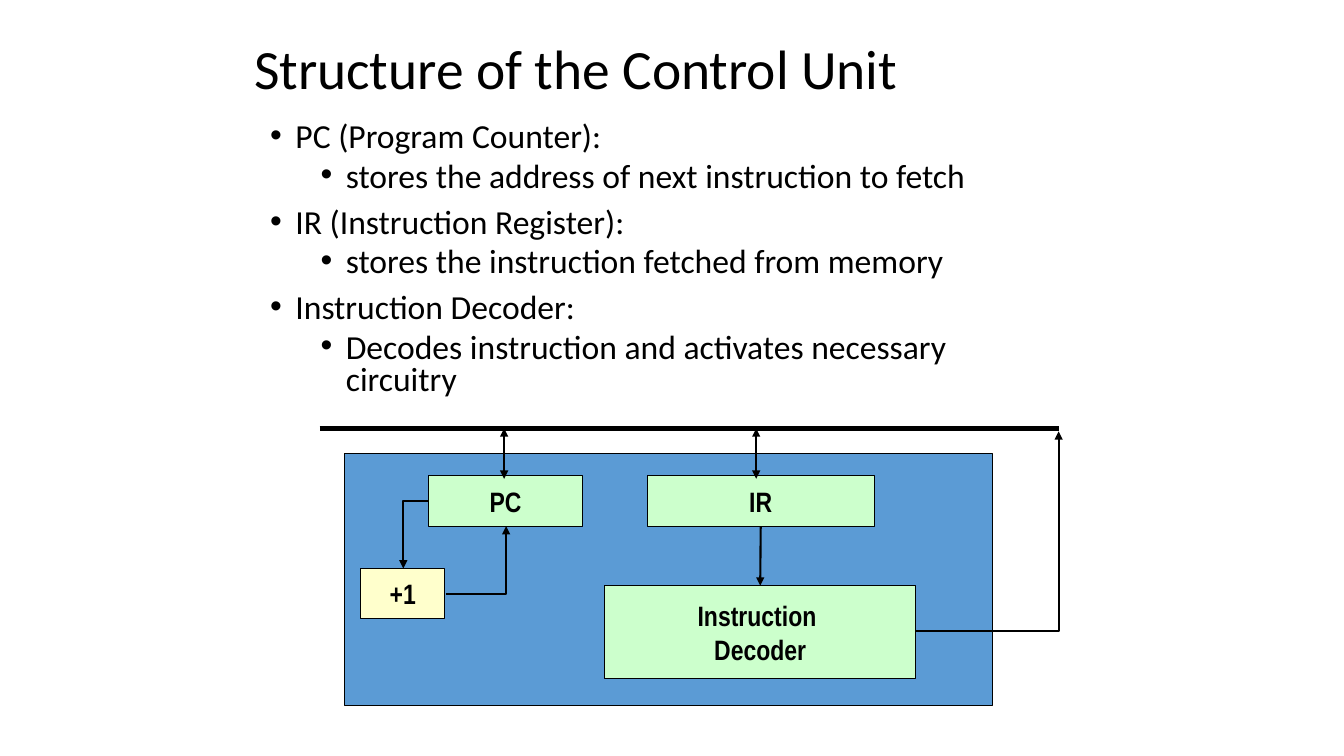
import pptx
import pptx.dml.color
import pptx.enum.shapes
import pptx.enum.text
import pptx.oxml
import pptx.oxml.ns
import pptx.util

Inches = pptx.util.Inches
Pt = pptx.util.Pt
RGBColor = pptx.dml.color.RGBColor
Align = pptx.enum.text.PP_ALIGN
Anchor = pptx.enum.text.MSO_ANCHOR
Link = pptx.enum.shapes.MSO_CONNECTOR

BLACK = RGBColor(0x00, 0x00, 0x00)
BLUE = RGBColor(0x5B, 0x9B, 0xD5)
GREEN = RGBColor(0xCC, 0xFF, 0xCC)
YELLOW = RGBColor(0xFF, 0xFF, 0xCC)

TOPICS = [
    ("PC (Program Counter):", "stores the address of next instruction to fetch"),
    ("IR (Instruction Register):", "stores the instruction fetched from memory"),
    ("Instruction Decoder:", "Decodes instruction and activates necessary circuitry"),
]


def add(parent, tag, **attrs):
    node = pptx.oxml.ns.qn(tag)
    child = parent.makeelement(node, attrs)
    parent.append(child)
    return child


def write(par, text, font="Calibri", size=24, bold=False, align=Align.LEFT,
          space=None, before=0):
    par.alignment = align
    par.space_before = Pt(before)
    if space:
        par.line_spacing = space
    run = par.add_run()
    run.text = text
    run.font.name = font
    run.font.size = Pt(size)
    run.font.bold = bold
    run.font.color.rgb = BLACK


class Page:
    def __init__(self, deck):
        self.slide = deck.slides.add_slide(deck.slide_layouts[1])
        self.shapes = self.slide.shapes
        self.label = dict(font="Arial Narrow", size=20, bold=True, align=Align.CENTER)

    def place(self, holder, left, top, width, height, anchor):
        holder.left, holder.top = Inches(left), Inches(top)
        holder.width, holder.height = Inches(width), Inches(height)
        frame = holder.text_frame
        frame.auto_size = pptx.enum.text.MSO_AUTO_SIZE.NONE
        frame.word_wrap = True
        frame.vertical_anchor = anchor
        return frame

    def title(self, text):
        frame = self.place(self.shapes.title, 2.42, 0.42, 8.5, 0.58, Anchor.MIDDLE)
        write(frame.paragraphs[0], text, size=39.6, space=0.9)

    def body(self, topics):
        frame = self.place(self.slide.placeholders[1], 2.58, 1.17, 7.92, 3, Anchor.TOP)
        par = frame.paragraphs[0]
        for topic in topics:
            for level, text in enumerate(topic):
                if par.runs:
                    par = frame.add_paragraph()
                par.level = level
                write(par, text, space=0.8, before=(10, 5)[level])
                props = par._p.get_or_add_pPr()
                props.set("marL", str(Inches(0.25 + 0.5 * level)))
                props.set("indent", str(Inches(-0.25)))
                add(props, "a:buFont", typeface="Arial")
                add(props, "a:buChar", char="•")

    def box(self, left, top, width, height, fill, *lines):
        shape = self.shapes.add_shape(
            pptx.enum.shapes.MSO_SHAPE.RECTANGLE,
            Inches(left), Inches(top), Inches(width), Inches(height))
        shape.shadow.inherit = False
        shape.fill.solid()
        shape.fill.fore_color.rgb = fill
        shape.line.color.rgb = BLACK
        shape.line.width = Pt(0.75)
        frame = shape.text_frame
        frame.word_wrap = False
        frame.vertical_anchor = Anchor.MIDDLE
        for count, text in enumerate(lines):
            par = frame.add_paragraph() if count else frame.paragraphs[0]
            write(par, text, **self.label)
        return shape

    def line(self, start, end, width=1.5, head=False, tail=False, bent=False):
        kind = Link.ELBOW if bent else Link.STRAIGHT
        wire = self.shapes.add_connector(kind, *map(Inches, start + end))
        wire.line.color.rgb = BLACK
        wire.line.width = Pt(width)
        props = wire._element.spPr
        if bent:
            props.find(pptx.oxml.ns.qn("a:prstGeom")).set("prst", "bentConnector2")
        stroke = wire.line._get_or_add_ln()
        if head:
            add(stroke, "a:headEnd", type="triangle")
        if tail:
            add(stroke, "a:tailEnd", type="triangle")
        add(props, "a:effectLst")
        return wire


def main():
    deck = pptx.Presentation()
    deck.slide_width, deck.slide_height = Inches(13.33), Inches(7.5)
    page = Page(deck)
    page.title("Structure of the Control Unit")
    page.body(TOPICS)

    page.box(3.42, 4.5, 6.42, 2.5, BLUE)
    page.line((3.17, 4.25), (10.5, 4.25), width=4)
    coder = page.box(6, 5.81, 3.08, 0.92, GREEN, "Instruction ", "Decoder")
    store = page.box(6.42, 4.72, 2.25, 0.5, GREEN, "IR")
    page.box(3.58, 5.64, 0.83, 0.5, YELLOW, "+1")
    page.box(4.25, 4.72, 1.53, 0.5, GREEN, "PC")

    for start, end in [((4.25, 4.97), (4, 5.64)),
                       ((4.42, 5.89), (5.02, 5.22)),
                       ((9.08, 6.26), (10.5, 4.28))]:
        page.line(start, end, tail=True, bent=True)
    fetch = page.line((7.54, 5.22), (7.54, 5.81), tail=True)
    fetch.begin_connect(store, 2)
    fetch.end_connect(coder, 0)
    for left in (5, 7.5):
        page.line((left, 4.75), (left, 4.25), head=True, tail=True)

    deck.save("out.pptx")


if __name__ == "__main__":
    main()
